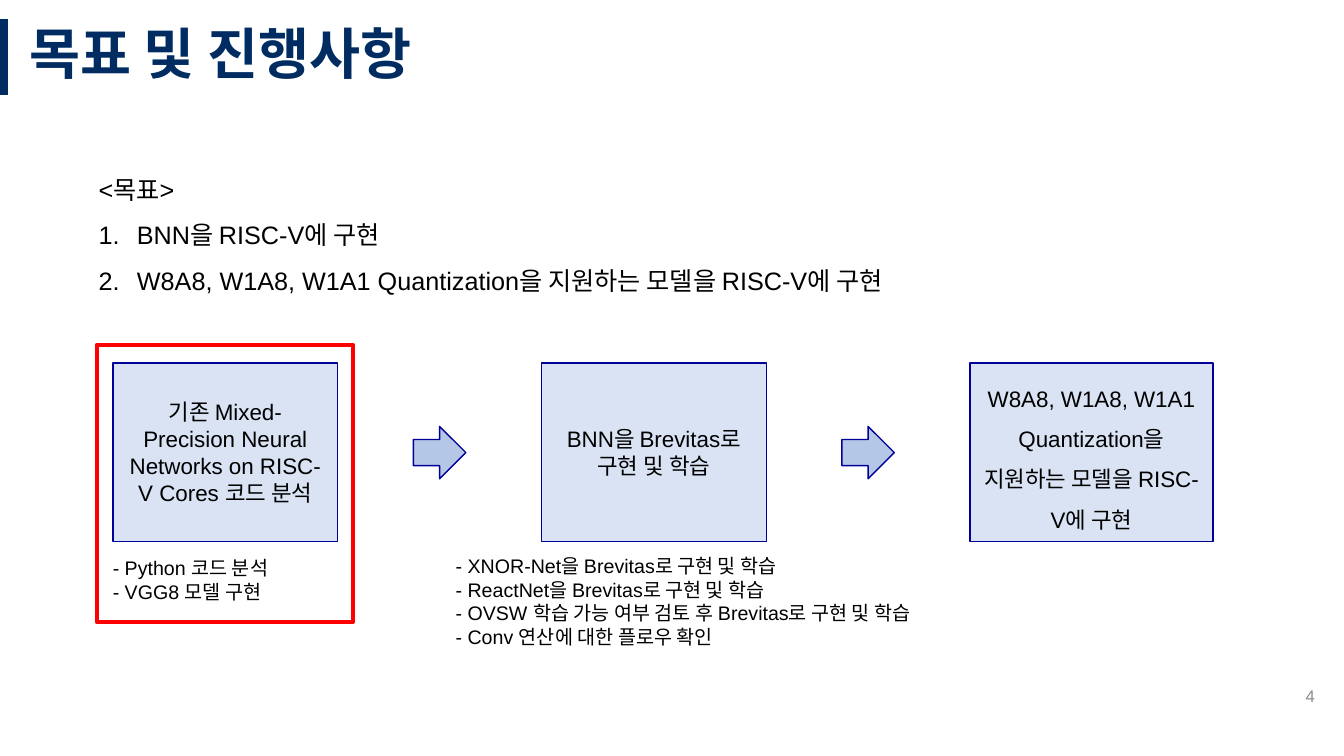
from dataclasses import dataclass

from lxml.etree import SubElement
from pptx import Presentation
from pptx.dml.color import RGBColor
from pptx.enum.shapes import MSO_CONNECTOR, MSO_SHAPE
from pptx.enum.text import MSO_ANCHOR, MSO_AUTO_SIZE, PP_ALIGN
from pptx.oxml.ns import qn
from pptx.shapes.autoshape import Shape
from pptx.slide import Slide
from pptx.util import Inches, Pt

NAVY = RGBColor(0x00, 0x2C, 0x62)
BLUE_LINE = RGBColor(0x00, 0x00, 0x99)
BOX_FILL = RGBColor(0xDA, 0xE3, 0xF3)
ARROW_FILL = RGBColor(0xB4, 0xC7, 0xE7)
RED = RGBColor(0xFF, 0x00, 0x00)
BLACK = RGBColor(0x00, 0x00, 0x00)
GRAY = RGBColor(0x8C, 0x8C, 0x8C)

STEP_LEFT, STEP_TOP, STEP_PITCH, STEP_HEIGHT = 1.12, 3.6, 4.25, 1.77
ARROW_LEFT, ARROW_TOP, ARROW_SIZE = 4.1, 4.23, 0.52
NUMBER_INDENT = 0.38


@dataclass
class TextStyle:
    size: float
    color: RGBColor = BLACK
    bold: bool = False
    align: PP_ALIGN = PP_ALIGN.LEFT
    anchor: MSO_ANCHOR = MSO_ANCHOR.MIDDLE
    line_spacing: float = 1.0
    grow: bool = False


@dataclass
class TextBlock:
    left: float
    top: float
    width: float
    height: float
    lines: list[str]
    style: TextStyle
    numbered_from: int | None = None


@dataclass
class Step:
    text: str
    width: float = 2.23
    line_spacing: float = 1.0


GOAL_STYLE = TextStyle(18, anchor=MSO_ANCHOR.TOP, line_spacing=1.5, grow=True)
NOTE_STYLE = TextStyle(14, anchor=MSO_ANCHOR.TOP, grow=True)

TEXT_BLOCKS = [
    TextBlock(0.19, 0.19, 13.15, 0.75, ["목표 및 진행사항"],
              TextStyle(39.6, NAVY, bold=True, line_spacing=0.9)),
    TextBlock(10.14, 6.7, 3, 0.4, ["4"], TextStyle(12, GRAY, align=PP_ALIGN.RIGHT)),
    TextBlock(0.88, 1.53, 10.42, 1.41,
              ["<목표>",
               "BNN을 RISC-V에 구현",
               "W8A8, W1A8, W1A1 Quantization을 지원하는 모델을 RISC-V에 구현"],
              GOAL_STYLE, numbered_from=1),
    TextBlock(1.02, 5.47, 2.59, 0.57,
              ["- Python 코드 분석", "- VGG8 모델 구현"], NOTE_STYLE),
    TextBlock(4.42, 5.45, 5.2, 1.04,
              ["- XNOR-Net을 Brevitas로 구현 및 학습",
               "- ReactNet을 Brevitas로 구현 및 학습",
               "- OVSW 학습 가능 여부 검토 후 Brevitas로 구현 및 학습",
               "- Conv 연산에 대한 플로우 확인"], NOTE_STYLE),
]

STEPS = [
    Step("기존 Mixed-Precision Neural Networks on RISC-V Cores 코드 분석"),
    Step("BNN을 Brevitas로 구현 및 학습"),
    Step("W8A8, W1A8, W1A1 Quantization을 지원하는 모델을 RISC-V에 구현",
         width=2.41, line_spacing=1.5),
]


def write_text(shape: Shape, lines: list[str], style: TextStyle,
               numbered_from: int | None = None) -> None:
    frame = shape.text_frame
    frame.word_wrap = True
    frame.vertical_anchor = style.anchor
    if style.grow:
        frame.auto_size = MSO_AUTO_SIZE.SHAPE_TO_FIT_TEXT
    for index, line in enumerate(lines):
        paragraph = frame.paragraphs[0] if index == 0 else frame.add_paragraph()
        paragraph.alignment = style.align
        paragraph.line_spacing = style.line_spacing
        if numbered_from is not None and index >= numbered_from:
            properties = paragraph._p.get_or_add_pPr()
            properties.set("marL", str(Inches(NUMBER_INDENT)))
            properties.set("indent", str(-Inches(NUMBER_INDENT)))
            SubElement(properties, qn("a:buAutoNum"), type="arabicPeriod")
        run = paragraph.add_run()
        run.text = line
        run.font.name = "Arial"
        run.font.size = Pt(style.size)
        run.font.bold = style.bold
        run.font.color.rgb = style.color


def add_text(slide: Slide, block: TextBlock) -> None:
    box = slide.shapes.add_textbox(Inches(block.left), Inches(block.top),
                                   Inches(block.width), Inches(block.height))
    write_text(box, block.lines, block.style, block.numbered_from)


def add_outlined_shape(slide: Slide, kind: MSO_SHAPE, left: float, top: float,
                       width: float, height: float, fill: RGBColor | None,
                       line: RGBColor = BLUE_LINE, line_width: float = 1) -> Shape:
    shape = slide.shapes.add_shape(kind, Inches(left), Inches(top),
                                   Inches(width), Inches(height))
    shape.shadow.inherit = False
    if fill is None:
        shape.fill.background()
    else:
        shape.fill.solid()
        shape.fill.fore_color.rgb = fill
    shape.line.color.rgb = line
    shape.line.width = Pt(line_width)
    return shape


def add_title_bar(slide: Slide) -> None:
    bar = slide.shapes.add_connector(MSO_CONNECTOR.STRAIGHT, Inches(0.04), Inches(0.19),
                                     Inches(0.04), Inches(0.94))
    bar.line.color.rgb = NAVY
    bar.line.width = Pt(6)
    SubElement(bar._element.spPr, qn("a:effectLst"))


def main() -> None:
    presentation = Presentation()
    presentation.slide_width = Inches(13.33)
    presentation.slide_height = Inches(7.5)
    slide = presentation.slides.add_slide(presentation.slide_layouts[6])

    # Title bar and frame around the current step
    add_title_bar(slide)
    add_outlined_shape(slide, MSO_SHAPE.RECTANGLE, 0.96, 3.42, 2.54, 2.75,
                       None, RED, 3)

    # Title, page number, goals and step notes
    for block in TEXT_BLOCKS:
        add_text(slide, block)

    # Steps with an arrow after each but the last
    for index, step in enumerate(STEPS):
        offset = index * STEP_PITCH
        box = add_outlined_shape(slide, MSO_SHAPE.RECTANGLE, STEP_LEFT + offset,
                                 STEP_TOP, step.width, STEP_HEIGHT, BOX_FILL)
        write_text(box, [step.text], TextStyle(16, align=PP_ALIGN.CENTER,
                                               line_spacing=step.line_spacing))
        if index < len(STEPS) - 1:
            add_outlined_shape(slide, MSO_SHAPE.RIGHT_ARROW, ARROW_LEFT + offset,
                               ARROW_TOP, ARROW_SIZE, ARROW_SIZE, ARROW_FILL)

    presentation.save("out.pptx")


if __name__ == "__main__":
    main()
